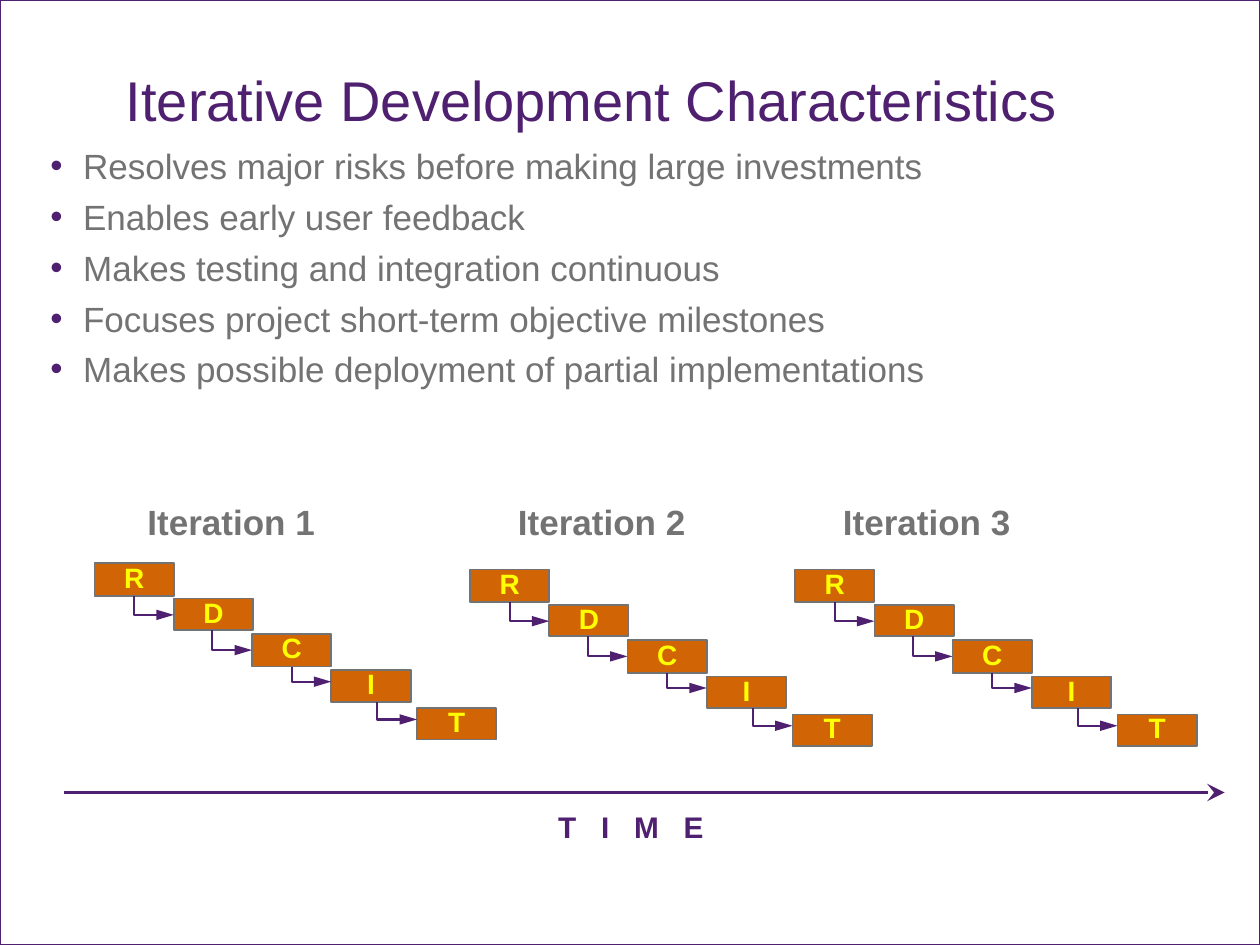
from pptx import Presentation
from pptx import util as u
from pptx.dml.color import RGBColor
from pptx.enum import shapes, text
from pptx.oxml.ns import qn
from lxml import etree

COLORS = {
    "purple": "4F2070",
    "gray": "737373",
    "orange": "D16404",
    "yellow": "FFFF00",
}
BULLETS = [
    "Resolves major risks before making large investments",
    "Enables early user feedback",
    "Makes testing and integration continuous",
    "Focuses project short-term objective milestones",
    "Makes possible deployment of partial implementations",
]
PHASES = [
    ("R", 0, 0, 0.26, 0),
    ("D", 0.63, 0.28, 0.25, 0.13),
    ("C", 1.25, 0.56, 0.26, 0.13),
    ("I", 1.88, 0.85, 0.25, 0.09),
    ("T", 2.56, 1.15, 0.25, 0.09),
]
PHASE_WIDTH = 0.63
ITERATIONS = [(1.03, 0.75, 4.47), (3.97, 3.73, 4.52), (6.55, 6.31, 4.52)]


def rgb(name):
    return RGBColor.from_string(COLORS[name])


def set_font(paragraph, size, color, bold=False):
    font = paragraph.font
    font.name = "Arial"
    font.size = u.Pt(size)
    font.bold = bold
    font.color.rgb = rgb(color)


def set_margins(frame, horizontal, vertical):
    frame.margin_left = frame.margin_right = u.Inches(horizontal)
    frame.margin_top = frame.margin_bottom = u.Inches(vertical)


def add_text(slide, box, content, size, color, bold=False, margins=(0, 0), wrap=True):
    frame = slide.shapes.add_textbox(*map(u.Inches, box)).text_frame
    frame.word_wrap = wrap
    set_margins(frame, *margins)
    paragraph = frame.paragraphs[0]
    paragraph.text = content
    set_font(paragraph, size, color, bold)
    return paragraph


def add_bullets(slide, box, items):
    frame = slide.shapes.add_textbox(*map(u.Inches, box)).text_frame
    frame.word_wrap = True
    set_margins(frame, 0, 0)
    for index, item in enumerate(items):
        paragraph = frame.add_paragraph() if index else frame.paragraphs[0]
        paragraph.text = item
        if index:
            paragraph.space_before = u.Pt(5)
        properties = paragraph._p.get_or_add_pPr()
        properties.set("marL", str(u.Inches(0.26)))
        properties.set("indent", str(u.Inches(-0.26)))
        bullet_color = etree.SubElement(properties, qn("a:buClr"))
        etree.SubElement(bullet_color, qn("a:srgbClr"), val=COLORS["purple"])
        etree.SubElement(properties, qn("a:buFont"), typeface="Arial")
        etree.SubElement(properties, qn("a:buChar"), char="•")
        set_font(paragraph, 20, "gray")


def add_rectangle(parent, box, line, width, fill=None):
    shape = parent.shapes.add_shape(shapes.MSO_SHAPE.RECTANGLE, *map(u.Inches, box))
    shape.shadow.inherit = False
    if fill:
        shape.fill.solid()
        shape.fill.fore_color.rgb = rgb(fill)
    else:
        shape.fill.background()
    shape.line.color.rgb = rgb(line)
    shape.line.width = u.Pt(width)
    return shape


def add_arrow(parent, kind, start, end, width, head, head_width):
    connector = parent.shapes.add_connector(kind, *map(u.Inches, start + end))
    connector.line.color.rgb = rgb("purple")
    connector.line.width = u.Pt(width)
    etree.SubElement(connector.line._get_or_add_ln(), qn("a:tailEnd"),
                     type=head, w=head_width, len="lg")
    etree.SubElement(connector._element.spPr, qn("a:effectLst"))
    return connector


def add_elbow(parent, start, end):
    middle_x, middle_y = (start[0] + end[0]) / 2, (start[1] + end[1]) / 2
    half_run, half_drop = (end[0] - start[0]) / 2, (end[1] - start[1]) / 2
    connector = add_arrow(
        parent,
        shapes.MSO_CONNECTOR.ELBOW,
        (middle_x + half_drop, middle_y - half_run),
        (middle_x - half_drop, middle_y + half_run),
        1.25,
        "triangle",
        "med",
    )
    properties = connector._element.spPr
    properties.find(qn("a:prstGeom")).set("prst", "bentConnector2")
    properties.find(qn("a:xfrm")).set("rot", str(270 * 60000))


def add_phase(parent, box, label):
    shape = add_rectangle(parent, box, "gray", 1, "orange")
    frame = shape.text_frame
    frame.word_wrap = False
    frame.vertical_anchor = text.MSO_ANCHOR.MIDDLE
    set_margins(frame, 0.09, 0.04)
    paragraph = frame.paragraphs[0]
    paragraph.text = label
    paragraph.alignment = text.PP_ALIGN.CENTER
    paragraph.line_spacing = 0.87
    set_font(paragraph, 16, "yellow", True)


def add_iteration(slide, number, heading_left, left, top):
    heading = add_text(slide, (heading_left, 3.92, 1.61, 0.44), f"Iteration {number}",
                       20, "gray", True, (0.1, 0.05), False)
    heading.alignment = text.PP_ALIGN.CENTER
    group = slide.shapes.add_group_shape()
    previous_bottom = None
    for label, x, y, height, drop in PHASES:
        phase_left, phase_top = left + x, top + y
        add_phase(group, (phase_left, phase_top, PHASE_WIDTH, height), label)
        if previous_bottom is not None:
            add_elbow(group, (phase_left - PHASE_WIDTH / 2, previous_bottom),
                      (phase_left, phase_top + drop))
        previous_bottom = phase_top + height


def main():
    presentation = Presentation()
    presentation.slide_width = u.Inches(10)
    presentation.slide_height = u.Inches(7.5)
    slide = presentation.slides.add_slide(presentation.slide_layouts[6])

    add_rectangle(slide, (0, 0, 10, 7.5), "purple", 0.75)
    title = add_text(slide, (1, 0.58, 8.33, 0.67),
                     "Iterative Development Characteristics", 32, "purple")
    title.line_spacing = 0.9
    add_bullets(slide, (0.4, 1.15, 9.44, 2.43), BULLETS)

    add_arrow(slide, shapes.MSO_CONNECTOR.STRAIGHT, (0.51, 6.29), (9.72, 6.29),
              2, "stealth", "lg")
    time = add_text(slide, (4.34, 6.41, 1.6, 0.34), "T I M E", 17, "purple", True,
                    (0.09, 0.04))
    time.line_spacing = 0.9
    time.runs[0].font._element.set("spc", "470")

    for number, iteration in enumerate(ITERATIONS, start=1):
        add_iteration(slide, number, *iteration)

    presentation.save("out.pptx")


if __name__ == "__main__":
    main()
